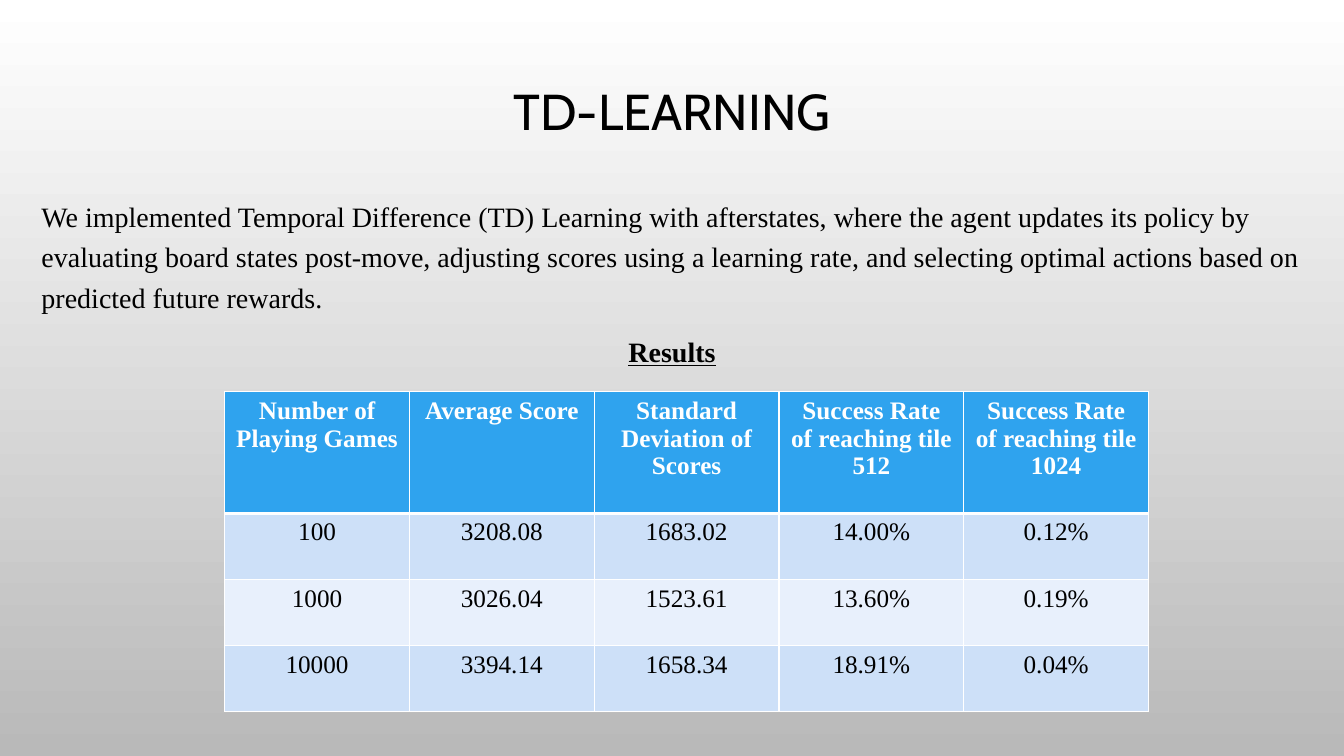
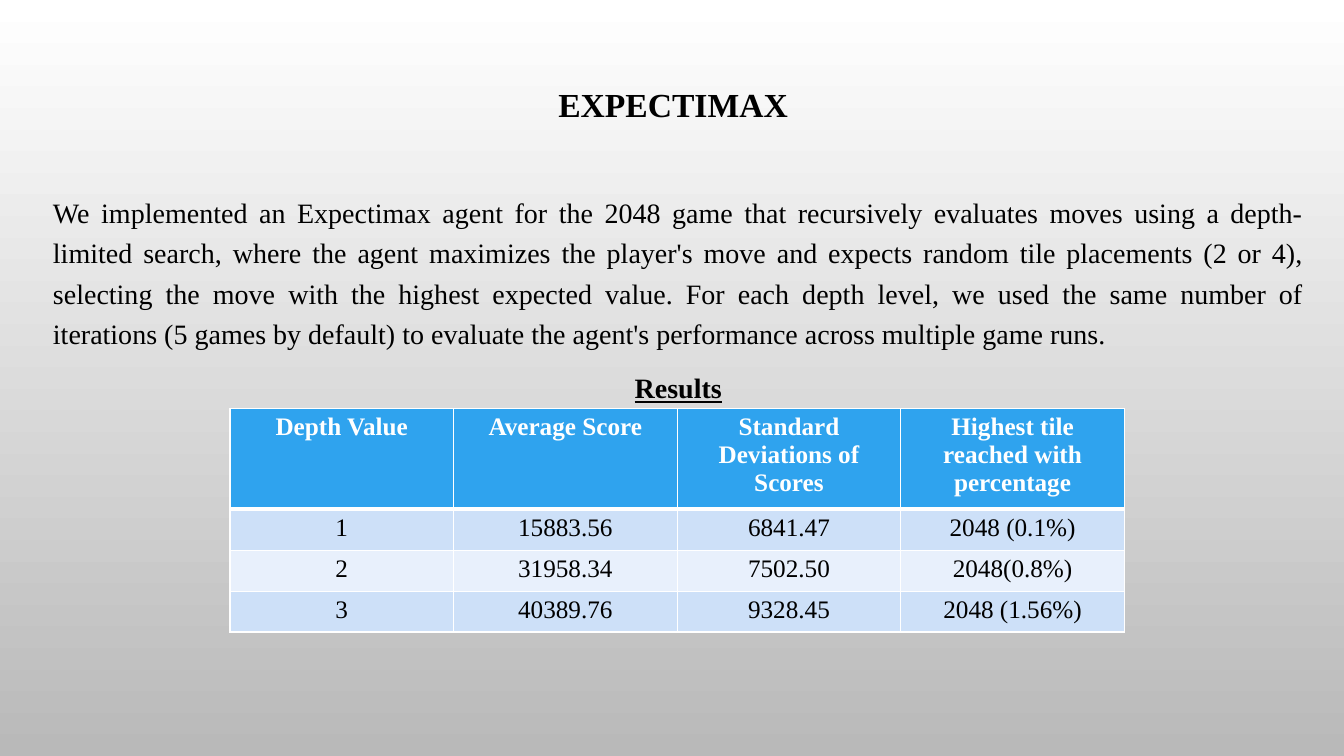
from lxml.etree import SubElement
from pptx import Presentation
from pptx.dml.color import RGBColor
from pptx.enum.text import MSO_ANCHOR as Anchor, PP_ALIGN as Align
from pptx.oxml.ns import qn
from pptx.util import Pt

PX = 9525  # EMU in one px, 96 px to the inch
SLIDE_SIZE = 1280, 720
SERIF = "Times New Roman"
COLORS = {
    "page_top": "FFFFFF",
    "page_bottom": "B9B9B9",
    "text": "000000",
    "header": "2FA3EE",
    "header_text": "FFFFFF",
    "odd_row": "CDE0F8",
    "even_row": "E8F0FC",
    "border": "FFFFFF",
}

# Boxes are left, top, width, height in px.
SLIDES = [
    {
        "title": "TD-LEARNING",
        "title_box": (30, 65, 1220, 87),
        "title_format": {"size": 36, "font": "Cabin"},
        "body": "We implemented Temporal Difference (TD) Learning with afterstates, "
                "where the agent updates its policy by evaluating board states post-move, "
                "adjusting scores using a learning rate, and selecting optimal actions "
                "based on predicted future rewards.",
        "body_box": (30, 179, 1220, 487),
        "body_align": Align.LEFT,
        "table_corner": (214, 373),
        "column_width": 176,
        "header_height": 116,
        "row_height": 63,
        "rows": [
            ("Number of Playing Games", "Average Score", "Standard Deviation of Scores",
             "Success Rate of reaching tile 512", "Success Rate of reaching tile 1024"),
            ("100", "3208.08", "1683.02", "14.00%", "0.12%"),
            ("1000", "3026.04", "1523.61", "13.60%", "0.19%"),
            ("10000", "3394.14", "1658.34", "18.91%", "0.04%"),
        ],
    },
    {
        "title": "EXPECTIMAX",
        "title_box": (36, 63, 1210, 78),
        "title_format": {"size": 24, "bold": True},
        "body": "We implemented an Expectimax agent for the 2048 game that recursively "
                "evaluates moves using a depth-limited search, where the agent maximizes "
                "the player's move and expects random tile placements (2 or 4), selecting "
                "the move with the highest expected value. For each depth level, we used "
                "the same number of iterations (5 games by default) to evaluate the "
                "agent's performance across multiple game runs.",
        "body_box": (41, 175, 1210, 516),
        "body_align": Align.JUSTIFY,
        "table_corner": (219, 389),
        "column_width": 213,
        "header_height": 90,
        "row_height": 39,
        "rows": [
            ("Depth Value", "Average Score", "Standard Deviations of Scores",
             "Highest tile reached with percentage"),
            ("1", "15883.56", "6841.47", "2048 (0.1%)"),
            ("2", "31958.34", "7502.50", "2048(0.8%)"),
            ("3", "40389.76", "9328.45", "2048 (1.56%)"),
        ],
    },
]


def color(name):
    return RGBColor.from_string(COLORS[name])


def px(*lengths):
    return [length * PX for length in lengths]


def write(paragraph, text, size=20, font=SERIF, ink="text", bold=False,
          underline=False, align=Align.CENTER, line=None, before=None):
    paragraph.alignment = align
    if line:
        paragraph.line_spacing = line
    if before:
        paragraph.space_before = Pt(before)
    run = paragraph.add_run()
    run.text = text
    run.font.size = Pt(size)
    run.font.name = font
    run.font.bold = bold
    run.font.underline = underline
    run.font.color.rgb = color(ink)


def add_frame(slide, box, anchor=Anchor.TOP):
    frame = slide.shapes.add_textbox(*px(*box)).text_frame
    frame.word_wrap = True
    frame.vertical_anchor = anchor
    return frame


def set_borders(cell, top, bottom):
    """Draw all four edges; top and bottom are widths in points."""
    properties = cell._tc.get_or_add_tcPr()
    for edge, width in (("lnL", 1), ("lnR", 1), ("lnT", top), ("lnB", bottom)):
        border = SubElement(properties, qn(f"a:{edge}"), w=str(Pt(width)))
        fill = SubElement(border, qn("a:solidFill"))
        SubElement(fill, qn("a:srgbClr"), val=COLORS["border"])


def add_results(slide, content):
    rows = content["rows"]
    columns = len(rows[0])
    heights = [content["header_height"]] + [content["row_height"]] * (len(rows) - 1)
    size = content["column_width"] * columns, sum(heights)
    table = slide.shapes.add_table(
        len(rows), columns, *px(*content["table_corner"], *size)).table
    for column in table.columns:
        column.width = content["column_width"] * PX
    for r, values in enumerate(rows):
        table.rows[r].height = heights[r] * PX
        is_header = r == 0
        fill = "header" if is_header else "odd_row" if r % 2 else "even_row"
        for c, value in enumerate(values):
            cell = table.cell(r, c)
            set_borders(cell, top=3 if r == 1 else 1, bottom=3 if is_header else 1)
            cell.fill.solid()
            cell.fill.fore_color.rgb = color(fill)
            write(cell.text_frame.paragraphs[0], value, size=18, bold=is_header,
                  ink="header_text" if is_header else "text")


def set_background(master):
    fill = master.background.fill
    fill.gradient()
    fill.gradient_angle = 270
    for stop, position, name in zip(fill.gradient_stops, (0, 1), ("page_top", "page_bottom")):
        stop.position = position
        stop.color.rgb = color(name)


def add_slide(prs, content):
    slide = prs.slides.add_slide(prs.slide_layouts[6])
    title = add_frame(slide, content["title_box"], Anchor.MIDDLE)
    write(title.paragraphs[0], content["title"], line=0.9, **content["title_format"])
    body = add_frame(slide, content["body_box"])
    spacing = {"line": 1.2, "before": 10}
    write(body.paragraphs[0], content["body"], align=content["body_align"], **spacing)
    write(body.add_paragraph(), "Results", bold=True, underline=True, **spacing)
    add_results(slide, content)


def main():
    prs = Presentation()
    prs.slide_width, prs.slide_height = px(*SLIDE_SIZE)
    set_background(prs.slide_master)
    for content in SLIDES:
        add_slide(prs, content)
    prs.save("out.pptx")


if __name__ == "__main__":
    main()
